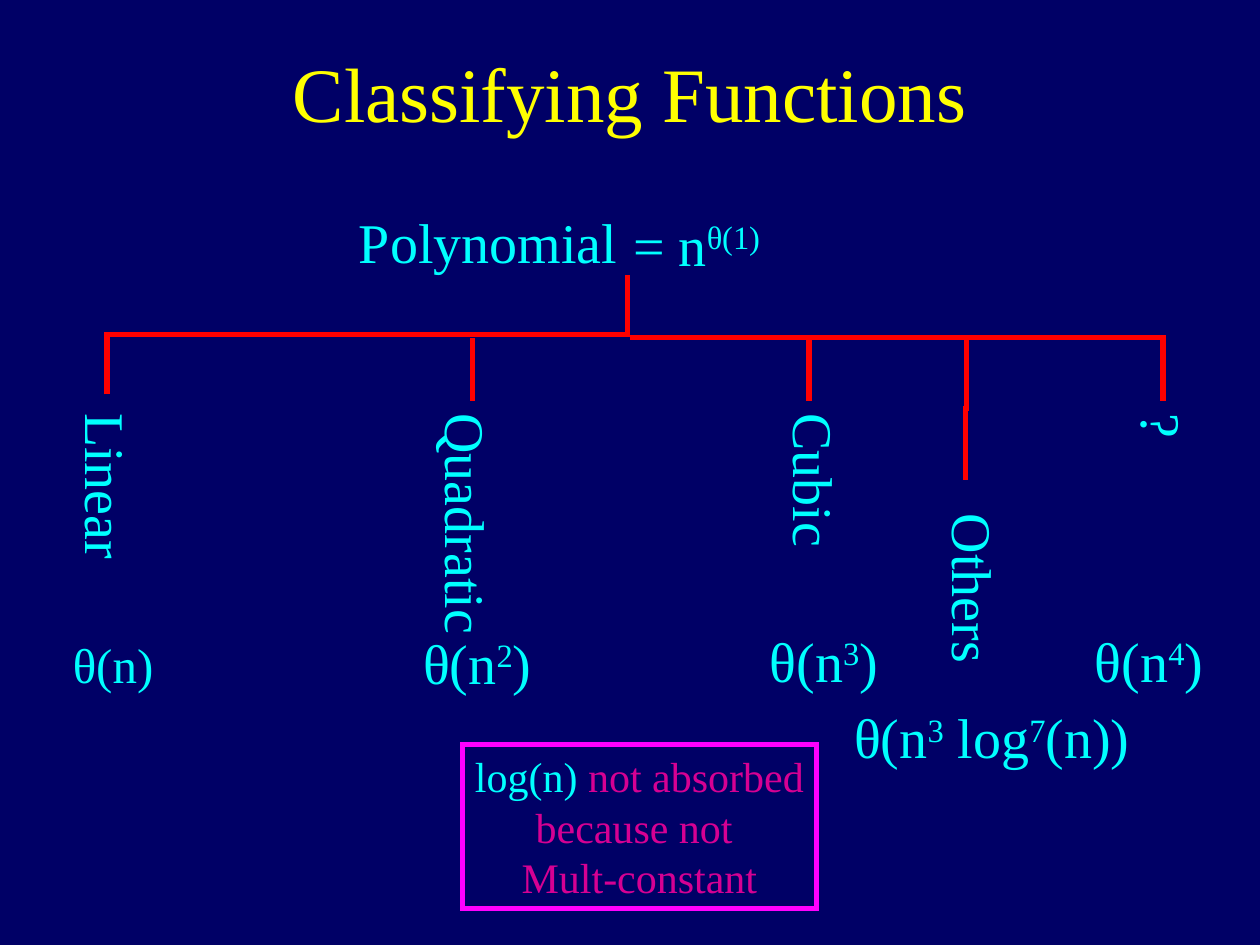
import pptx
import pptx.util
import pptx.dml.color
import pptx.enum.shapes
import pptx.enum.text
import pptx.oxml.ns
import lxml.etree

WIDTH, HEIGHT = 10, 7.5
FONT = "Times New Roman"
COLORS = {"navy": "000066", "yellow": "FFFF00", "cyan": "00FFFF",
          "red": "FF0000", "magenta": "FF00FF", "pink": "D60093"}
ALIGN = pptx.enum.text.PP_ALIGN
ANCHOR = pptx.enum.text.MSO_ANCHOR
FIT = pptx.enum.text.MSO_AUTO_SIZE
SHAPE = pptx.enum.shapes.MSO_SHAPE
ELBOW = pptx.enum.shapes.MSO_CONNECTOR.ELBOW

TITLE = "Classifying Functions"
ROOT = [("Polynomial", 2.75, 1.6, 2.25, ALIGN.LEFT),
        ("= n^θ(1)^", 4.91, 1.62, 1.22, ALIGN.RIGHT)]
NOTE = [[("log(n)", "cyan"), (" not absorbed\nbecause not ", "pink")],
        [("Mult-constant", "pink")]]
NAME_TOP, OTHERS_DROP = 3.18, 0.8
LINE_HEIGHT = 0.64
CLASSES = [
    dict(name="Linear", center=0.85, length=2, wrap=True,
         growth="θ(n)", left=0.48, top=4.99, width=0.84, size=28),
    dict(name="Quadratic", center=3.71, length=1.98,
         growth="θ(n^2^)", left=3.26, top=4.94, width=1.06),
    dict(name="Cubic", center=6.47, length=1.28,
         growth="θ(n^3^)", left=6.01, top=4.92, width=1.06),
    dict(name="?", center=9.23, length=0.4,
         growth="θ(n^4^)", left=8.59, top=4.92, width=1.06),
    dict(name="Others", center=7.73, length=1.4, drop=OTHERS_DROP,
         growth="θ(n^3^ log^7^(n))", left=6.68, top=5.53, width=2.39),
]
BRANCH_Y, BRANCH_END = 2.68, 3.18
CORNERS = [((5, BRANCH_Y), (9.23, BRANCH_END))] + [
    ((x, BRANCH_END), (x, BRANCH_Y)) for x in (3.75, 6.42)]
STEPS = [((0.85, 3.13), (4.98, 2.18)), ((7.66, 3.81), (7.67, 2.67))]

inches = pptx.util.Inches
qn = pptx.oxml.ns.qn
deck = pptx.Presentation()
deck.slide_width, deck.slide_height = inches(WIDTH), inches(HEIGHT)
slide = deck.slides.add_slide(deck.slide_layouts[6])


def color(name):
    return pptx.dml.color.RGBColor.from_string(COLORS[name])


def draw_line(owner, tint):
    owner.line.color.rgb = color(tint)
    owner.line.width = pptx.util.Pt(3)
    stroke = owner._element.spPr.find(qn("a:ln"))
    lxml.etree.SubElement(stroke, qn("a:miter")).set("lim", "800000")


def add_text(text, left, top, width, height=LINE_HEIGHT, size=32, fill="cyan",
             align=ALIGN.LEFT, anchor=ANCHOR.TOP, turn=0, wrap=False,
             fit=FIT.SHAPE_TO_FIT_TEXT, border=None):
    area = [inches(v) for v in (left, top, width, height)]
    if border:
        box = slide.shapes.add_shape(SHAPE.RECTANGLE, *area)
        box.fill.background()
        draw_line(box, border)
        box.shadow.inherit = False
    else:
        box = slide.shapes.add_textbox(*area)
    box.rotation = turn
    frame = box.text_frame
    frame.word_wrap = wrap
    frame.auto_size = fit
    frame.vertical_anchor = anchor
    paragraphs = [[(text, fill)]] if isinstance(text, str) else text
    for index, pieces in enumerate(paragraphs):
        paragraph = frame.paragraphs[0] if index == 0 else frame.add_paragraph()
        paragraph.alignment = align
        for words, tint in pieces:
            for row, line in enumerate(words.split("\n")):
                if row:
                    paragraph.add_line_break()
                for part, segment in enumerate(line.split("^")):
                    if not segment:
                        continue
                    run = paragraph.add_run()
                    run.text = segment
                    run.font.name = FONT
                    run.font.size = pptx.util.Pt(size)
                    run.font.color.rgb = color(tint)
                    if part % 2:
                        run._r.get_or_add_rPr().set("baseline", "30000")


def add_branch(start, end, step=False):
    if step:
        mid_x, mid_y = ((a + b) / 2 for a, b in zip(start, end))
        dx, dy = start[0] - mid_x, start[1] - mid_y
        start, end = (mid_x + dy, mid_y - dx), (mid_x - dy, mid_y + dx)
    branch = slide.shapes.add_connector(ELBOW, *(inches(v) for v in start + end))
    draw_line(branch, "red")
    properties = branch._element.spPr
    if step:
        properties.find(qn("a:xfrm")).set("rot", "5400000")
    else:
        properties.find(qn("a:prstGeom")).set("prst", "bentConnector2")
    lxml.etree.SubElement(properties, qn("a:effectLst"))


def main():
    slide.background.fill.solid()
    slide.background.fill.fore_color.rgb = color("navy")
    add_text(TITLE, 0.75, 0.1, 0.85 * WIDTH, 1.25, size=44, fill="yellow",
             align=ALIGN.CENTER, anchor=ANCHOR.MIDDLE, wrap=True, fit=FIT.NONE)
    for text, left, top, width, align in ROOT:
        add_text(text, left, top, width, align=align)
    for start, end in STEPS:
        add_branch(start, end, step=True)
    for start, end in CORNERS:
        add_branch(start, end)
    for item in CLASSES:
        length = item["length"]
        middle = NAME_TOP + item.get("drop", 0) + length / 2
        add_text(item["name"], item["center"] - length / 2, middle - LINE_HEIGHT / 2,
                 length, turn=90, wrap=item.get("wrap", False))
        size = item.get("size", 32)
        add_text(item["growth"], item["left"], item["top"], item["width"],
                 LINE_HEIGHT * size / 32, size=size)
    add_text(NOTE, 3.67, 5.91, 2.81, 1.3, size=24, align=ALIGN.CENTER, border="magenta")
    deck.save("out.pptx")


if __name__ == "__main__":
    main()
